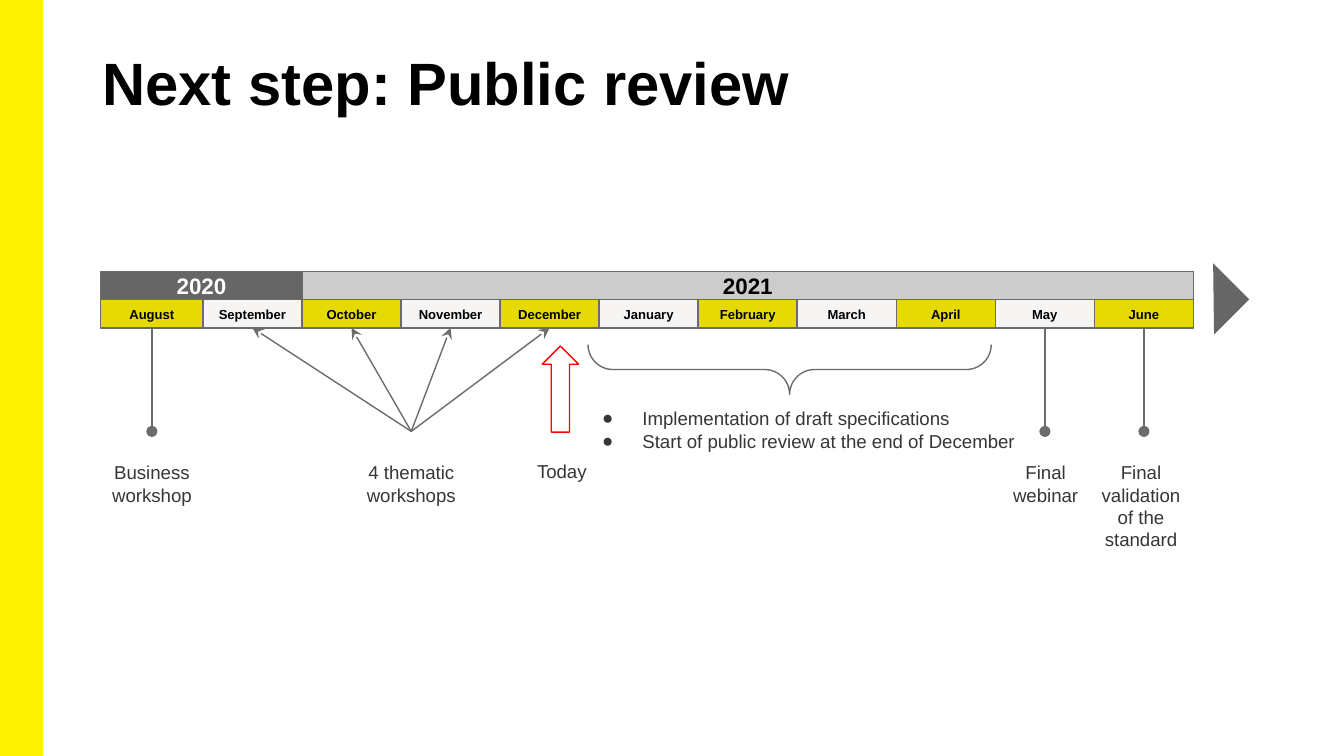
from dataclasses import dataclass

from lxml.etree import SubElement
from pptx import Presentation
from pptx.dml.color import RGBColor
from pptx.enum.shapes import MSO_CONNECTOR, MSO_SHAPE
from pptx.enum.text import MSO_ANCHOR, MSO_AUTO_SIZE, PP_ALIGN
from pptx.oxml.ns import qn
from pptx.util import Inches, Pt


@dataclass(frozen=True)
class Theme:
    font: str = "Arial"
    accent: str = "FFF200"
    month: str = "E5DA04"
    month_alt: str = "F6F5F3"
    dark: str = "666666"
    light: str = "CCCCCC"
    line: str = "6B6B6B"
    today: str = "FF0000"
    text: str = "373636"
    black: str = "000000"
    white: str = "FFFFFF"
    title_size: int = 32
    year_size: int = 12
    month_size: int = 7
    label_size: int = 10
    line_width: float = 0.75
    band_line_width: float = 1


class SlideBuilder:
    def __init__(self, slide, theme):
        self.s = slide
        self.t = theme

    def place(self, sp, x, y, w, h):
        sp.left, sp.top, sp.width, sp.height = map(Inches, (x, y, w, h))

    def frame(self, sp, inset_x=0.1, inset_y=0.1, anchor=MSO_ANCHOR.TOP):
        tf = sp.text_frame
        tf.word_wrap = True
        tf.auto_size = MSO_AUTO_SIZE.NONE
        tf.vertical_anchor = anchor
        tf.margin_left = tf.margin_right = Inches(inset_x)
        tf.margin_top = tf.margin_bottom = Inches(inset_y)
        return tf

    def run(self, p, text, size, color, bold=False, align=PP_ALIGN.CENTER):
        p.alignment = align
        r = p.add_run()
        r.text = text
        r.font.name = self.t.font
        r.font.size = Pt(size)
        r.font.bold = bold
        r.font.color.rgb = RGBColor.from_string(color)

    def title(self, text, x, y, w, h):
        sp = self.s.shapes.title
        self.place(sp, x, y, w, h)
        p = self.frame(sp, 0.07, 0.04).paragraphs[0]
        self.run(p, text, self.t.title_size, self.t.black, True, PP_ALIGN.LEFT)

    def bullets(self, items, x, y, w, h):
        sp = self.s.placeholders[1]
        self.place(sp, x, y, w, h)
        tf = self.frame(sp)
        for i, item in enumerate(items):
            p = tf.add_paragraph() if i else tf.paragraphs[0]
            p.space_before = Pt(0)
            pPr = p._p.get_or_add_pPr()
            pPr.set("marL", str(Inches(0.3)))
            pPr.set("indent", str(Inches(-0.3)))
            color = SubElement(pPr, qn("a:buClr"))
            SubElement(color, qn("a:srgbClr"), val=self.t.text)
            SubElement(pPr, qn("a:buFont"), typeface=self.t.font)
            SubElement(pPr, qn("a:buChar"), char="●")
            self.run(p, item, self.t.label_size, self.t.text, align=PP_ALIGN.LEFT)

    def label(self, text, x, y, w, h):
        sp = self.s.shapes.add_textbox(*map(Inches, (x, y, w, h)))
        p = self.frame(sp).paragraphs[0]
        self.run(p, text, self.t.label_size, self.t.text)

    def shape(self, kind, x, y, w, h, fill=None, line=None, rotation=0,
              adjustments=(), parent=None):
        shapes = (parent or self.s).shapes
        sp = shapes.add_shape(kind, *map(Inches, (x, y, w, h)))
        sp.shadow.inherit = False
        sp.rotation = rotation
        for i, value in enumerate(adjustments):
            sp.adjustments[i] = value
        if fill:
            sp.fill.solid()
            sp.fill.fore_color.rgb = RGBColor.from_string(fill)
        else:
            sp.fill.background()
        if line:
            sp.line.color.rgb = RGBColor.from_string(line)
            sp.line.width = Pt(self.t.line_width)
        else:
            sp.line.fill.background()
        return sp

    def cell(self, group, text, x, y, w, h, fill, size, color):
        sp = self.shape(MSO_SHAPE.RECTANGLE, x, y, w, h, fill, self.t.line, parent=group)
        p = self.frame(sp, anchor=MSO_ANCHOR.MIDDLE).paragraphs[0]
        self.run(p, text, size, color, True)
        return sp

    def connector(self, box, end_x, end_y, end_tag, end_type):
        begin_x = box.left + box.width // 2
        end_x = begin_x if end_x is None else Inches(end_x)
        cx = self.s.shapes.add_connector(
            MSO_CONNECTOR.STRAIGHT, begin_x, box.top + box.height, end_x, Inches(end_y))
        cx.begin_connect(box, 2)
        cx.line.color.rgb = RGBColor.from_string(self.t.line)
        cx.line.width = Pt(self.t.line_width)
        SubElement(cx.line._get_or_add_ln(), qn(end_tag), type=end_type)
        SubElement(cx._element.spPr, qn("a:effectLst"))


def main():
    prs = Presentation()
    width = 10
    height = width * 9 / 16
    prs.slide_width, prs.slide_height = Inches(width), Inches(height)
    t = Theme()
    b = SlideBuilder(prs.slides.add_slide(prs.slide_layouts[1]), t)

    band = b.shape(MSO_SHAPE.RECTANGLE, 0, 0, 0.31, height, t.accent, t.accent)
    band.line.width = Pt(t.band_line_width)
    b.title("Next step: Public review", 0.69, 0.3, 9.03, 0.81)

    left, split, right = 0.75, 2.25, 8.88
    top, row = 2.02, 0.21
    timeline = b.s.shapes.add_group_shape()
    b.cell(timeline, "2020", left, top, split - left, row, t.dark, t.year_size, t.white)
    b.cell(timeline, "2021", split, top, right - split, row, t.light, t.year_size, t.black)

    names = ("August", "September", "October", "November", "December", "January",
             "February", "March", "April", "May", "June")
    second = 1.51
    step = (right - second) / (len(names) - 1)
    edges = [left] + [second + i * step for i in range(len(names))]
    months = {}
    for i, name in enumerate(names):
        fill = t.month_alt if i % 2 else t.month
        months[name] = b.cell(timeline, name, edges[i], top + row, edges[i + 1] - edges[i],
                              row, fill, t.month_size, t.black)

    event_y, label_y = 3.21, 3.33
    for name in ("August", "May", "June"):
        b.connector(months[name], None, event_y, "a:tailEnd", "oval")
    for name in names[1:5]:
        b.connector(months[name], 3.06, event_y, "a:headEnd", "stealth")

    for text, x, w, h in (
        ("Business workshop", 0.49, 1.28, 0.54),
        ("4 thematic workshops", 2.42, 1.28, 0.54),
        ("Final webinar", 7.4, 0.76, 0.54),
        ("Final validation of the standard", 8.06, 0.86, 0.88),
    ):
        b.label(text, x, label_y, w, h)

    b.shape(MSO_SHAPE.RIGHT_BRACE, 5.69, 1.25, 0.37, 3, line=t.line, rotation=90,
            adjustments=(0.5, 0.5))
    b.bullets(("Implementation of draft specifications",
               "Start of public review at the end of December"), 4.38, 2.93, 3.29, 0.54)
    b.shape(MSO_SHAPE.RIGHT_TRIANGLE, 8.84, 2.04, 0.38, 0.37, t.dark, rotation=225)
    b.shape(MSO_SHAPE.RIGHT_ARROW, 3.85, 2.76, 0.64, 0.27, t.white, t.today, 270, (0.5, 0.5))
    b.label("Today", 3.54, 3.32, 1.28, 0.37)

    prs.save("out.pptx")


if __name__ == "__main__":
    main()
